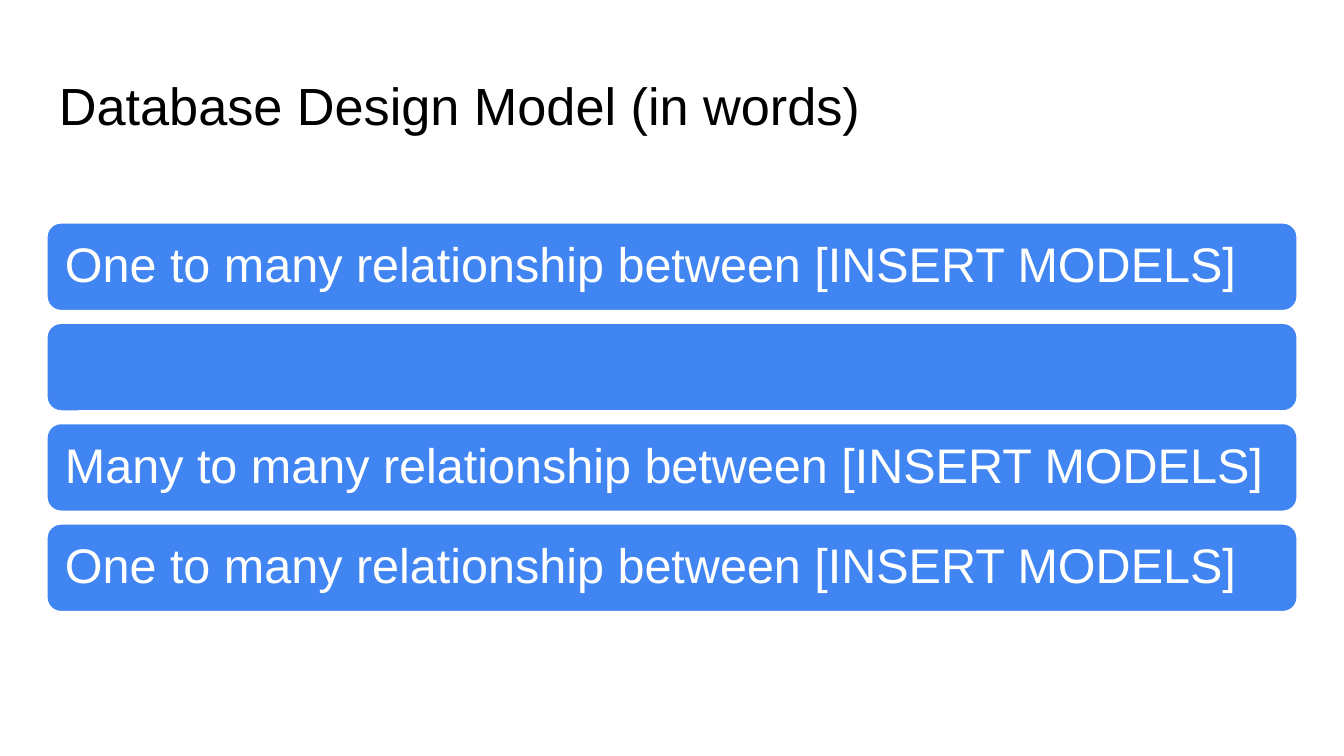
import pptx
import pptx.util
import pptx.dml.color
import pptx.enum.shapes
import pptx.enum.text
from pptx.util import Inches

THEME = {
    "font": "Arial",
    "title_size": 28,
    "bar_size": 26,
    "black": pptx.dml.color.RGBColor.from_string("000000"),
    "white": pptx.dml.color.RGBColor.from_string("FFFFFF"),
    "blue": pptx.dml.color.RGBColor.from_string("4185F2"),
}
BAR_TEXTS = [
    "One to many relationship between [INSERT MODELS]",
    "",
    "Many to many relationship between [INSERT MODELS]",
    "One to many relationship between [INSERT MODELS]",
]
LEFT, WIDTH = 0.34, 9.32
FIRST_BAR_TOP, LAST_BAR_TOP, BAR_HEIGHT = 1.65, 3.89, 0.67
BAR_PITCH = (LAST_BAR_TOP - FIRST_BAR_TOP) / (len(BAR_TEXTS) - 1)


def write_text(shape, text, size, color, inset):
    """Put one left-aligned, vertically centred line into the shape."""
    frame_format = {
        "word_wrap": True,
        "vertical_anchor": pptx.enum.text.MSO_ANCHOR.MIDDLE,
        "margin_left": Inches(inset),
        "margin_right": Inches(inset),
        "margin_top": Inches(inset),
        "margin_bottom": Inches(inset),
    }
    for name, value in frame_format.items():
        setattr(shape.text_frame, name, value)
    paragraph = shape.text_frame.paragraphs[0]
    paragraph.alignment = pptx.enum.text.PP_ALIGN.LEFT
    paragraph.line_spacing = 0.9
    run = paragraph.add_run()
    run.text = text
    run.font.name = THEME["font"]
    run.font.size = pptx.util.Pt(size)
    run.font.color.rgb = color


presentation = pptx.Presentation()
presentation.slide_width = Inches(10)
presentation.slide_height = Inches(10 * 9 / 16)
slide = presentation.slides.add_slide(presentation.slide_layouts[6])

title = slide.shapes.add_textbox(Inches(LEFT), Inches(0.49), Inches(WIDTH), Inches(0.63))
write_text(title, "Database Design Model (in words)", THEME["title_size"], THEME["black"], 0.1)

for index, text in enumerate(BAR_TEXTS):
    bar = slide.shapes.add_shape(
        pptx.enum.shapes.MSO_SHAPE.ROUNDED_RECTANGLE,
        Inches(LEFT), Inches(FIRST_BAR_TOP + index * BAR_PITCH), Inches(WIDTH), Inches(BAR_HEIGHT),
    )
    bar.adjustments[0] = 0.17
    bar.shadow.inherit = False
    bar.fill.solid()
    bar.fill.fore_color.rgb = THEME["blue"]
    bar.line.color.rgb = THEME["white"]
    bar.line.width = pptx.util.Pt(2)
    if text:
        write_text(bar, text, THEME["bar_size"], THEME["white"], 0.11)

presentation.save("out.pptx")
